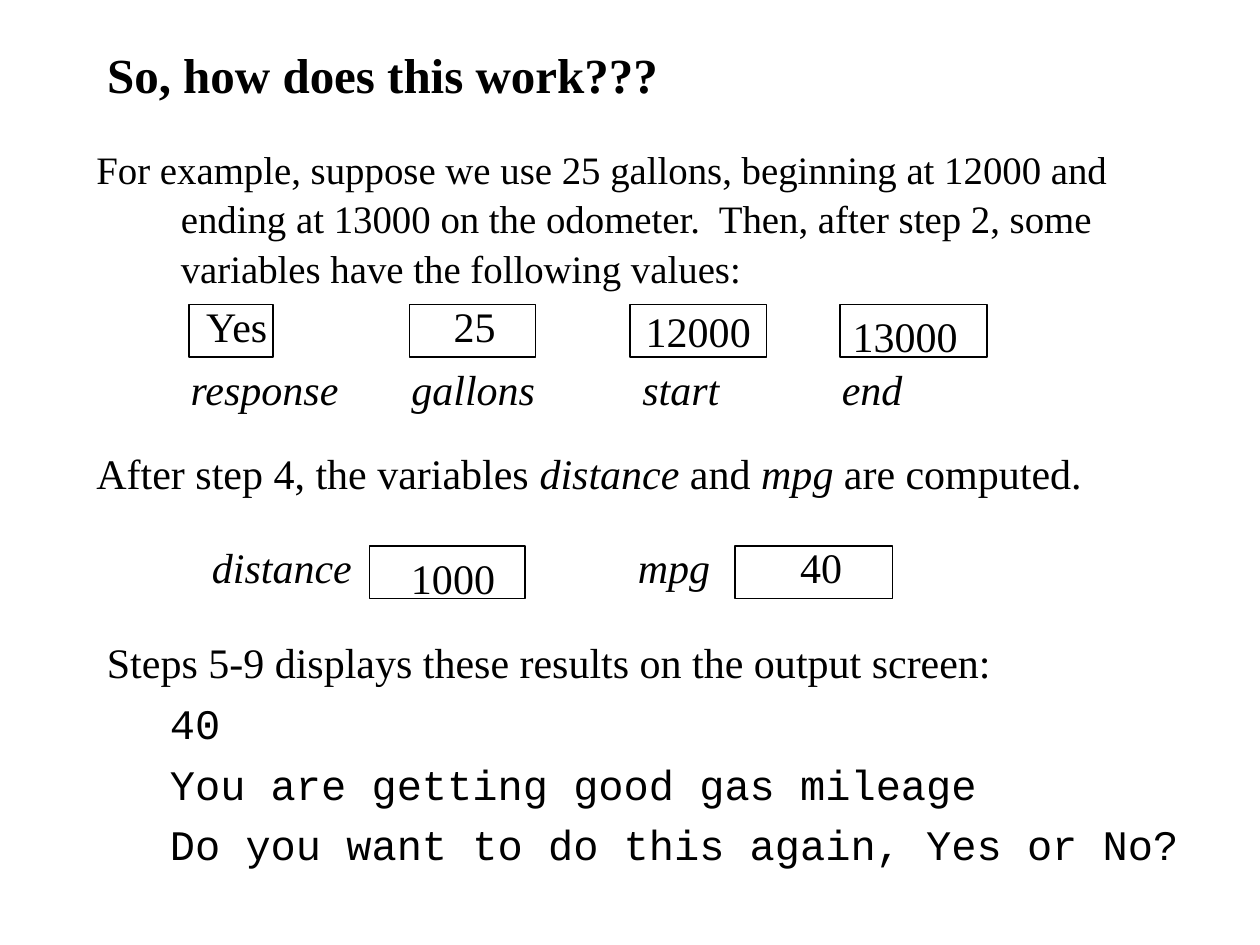
"""Build the slide that traces the variables of the gas mileage program."""
from pptx import Presentation
from pptx import util as u
from pptx.dml.color import RGBColor
from pptx.enum import shapes, text

SERIF, MONO, BLACK = "Times New Roman", "Courier New", "000000"
COLS, ROWS = 120, 90
TITLE = ("So, how does this work???", (9, 4, 102, 6))

# Boxes: left, top, width, text inside; labels and values: text, left, top, width, centred.
BOXES = [(18, 29, 8, ""), (39, 29, 12, ""), (60, 29, 13, "12000"), (80, 29, 14, ""),
         (35.2, 52, 14.8, ""), (70, 52, 15, "")]
LABELS = [("response", 16.9, 34, 16.6, True), ("gallons", 38, 34, 16, False),
          ("start", 60, 34, 13, False), ("end", 79, 34, 13, False),
          ("distance", 19, 51, 15.7, True), ("mpg", 59.6, 51, 9.2, True)]
VALUES = [("Yes", 18, 28, 9.1, True), ("25", 42, 28, 6.4, True),
          ("13000", 80, 29, 12.4, True), ("40", 75, 51, 6.4, True),
          ("1000", 38, 52, 10.3, True)]
BOX_H, LABEL_H = 5, 6

HANG = (0.67, -0.67)
OUTPUT = (1.08, -0.58)
# Position, then paragraphs: indents, line spacing, font, size, runs of (text, italic).
BODY = [
    ((8, 13, 104, 15), [(HANG, 1.06, SERIF, 22.2, [
        ("For example, suppose we use 25 gallons, beginning at 12000 and ending at 13000 "
         "on the odometer.  Then, after step 2, some variables have the following values:", False)])]),
    ((8, 42, 103, 7), [(HANG, 1, SERIF, 24, [
        ("After step 4, the variables ", False), ("distance", True), (" and ", False),
        ("mpg", True), (" are computed.", False)])]),
    ((9, 60, 105, 25), [
        (HANG, 1, SERIF, 24, [("Steps 5-9 displays these results on the output screen:", False)]),
        *[(OUTPUT, 1, MONO, 24, [(line, False)]) for line in (
            "40", "You are getting good gas mileage",
            "Do you want to do this again, Yes or No?")]]),
]

prs = Presentation()
prs.slide_width, prs.slide_height = u.Inches(10), u.Inches(7.5)
s = prs.slides.add_slide(prs.slide_layouts[5])


def color(value):
    return RGBColor.from_string(value)


def place(x, y, w, h):
    cx, cy = prs.slide_width / COLS, prs.slide_height / ROWS
    return [round(v) for v in (x * cx, y * cy, w * cx, h * cy)]


def assign(obj, values):
    for name, value in values.items():
        setattr(obj, name, value)


def frame(sp, anchor, wrap=True):
    tf = sp.text_frame
    side, end = u.Inches(0.1), u.Inches(0.05)
    assign(tf, dict(vertical_anchor=anchor, word_wrap=wrap, auto_size=text.MSO_AUTO_SIZE.NONE,
                    margin_left=side, margin_right=side, margin_top=end, margin_bottom=end))
    return tf


def write(p, words, size=24, font=SERIF, bold=False, italic=False):
    r = p.add_run()
    r.text = words
    assign(r.font, dict(name=font, size=u.Pt(size), bold=bold, italic=italic))
    r.font.color.rgb = color(BLACK)


def short_text(sp, words, centred, italic=False):
    p = frame(sp, text.MSO_ANCHOR.MIDDLE, wrap=False).paragraphs[0]
    p.alignment = text.PP_ALIGN.CENTER if centred else text.PP_ALIGN.LEFT
    write(p, words, italic=italic)


title = s.shapes.title
words, area = TITLE
assign(title, dict(zip(("left", "top", "width", "height"), place(*area))))
p = frame(title, text.MSO_ANCHOR.MIDDLE).paragraphs[0]
p.alignment = text.PP_ALIGN.LEFT
write(p, words, 28, bold=True)

for area, paragraphs in BODY:
    tf = frame(s.shapes.add_textbox(*place(*area)), text.MSO_ANCHOR.TOP)
    for i, ((left, first), spacing, font, size, runs) in enumerate(paragraphs):
        p = tf.add_paragraph() if i else tf.paragraphs[0]
        assign(p, dict(line_spacing=spacing, space_before=u.Pt(6 if i else 0)))
        pPr = p._p.get_or_add_pPr()
        pPr.set("marL", str(u.Inches(left)))
        pPr.set("indent", str(u.Inches(first)))
        for words, italic in runs:
            write(p, words, size, font, italic=italic)

for x, y, w, words in BOXES:
    sp = s.shapes.add_shape(shapes.MSO_SHAPE.RECTANGLE, *place(x, y, w, BOX_H))
    sp.shadow.inherit = False
    sp.fill.background()
    sp.line.color.rgb = color(BLACK)
    sp.line.width = u.Pt(0.75)
    if words:
        short_text(sp, words, True)

for group, italic in ((LABELS, True), (VALUES, False)):
    for words, x, y, w, centred in group:
        short_text(s.shapes.add_textbox(*place(x, y, w, LABEL_H)), words, centred, italic)

prs.save("out.pptx")
